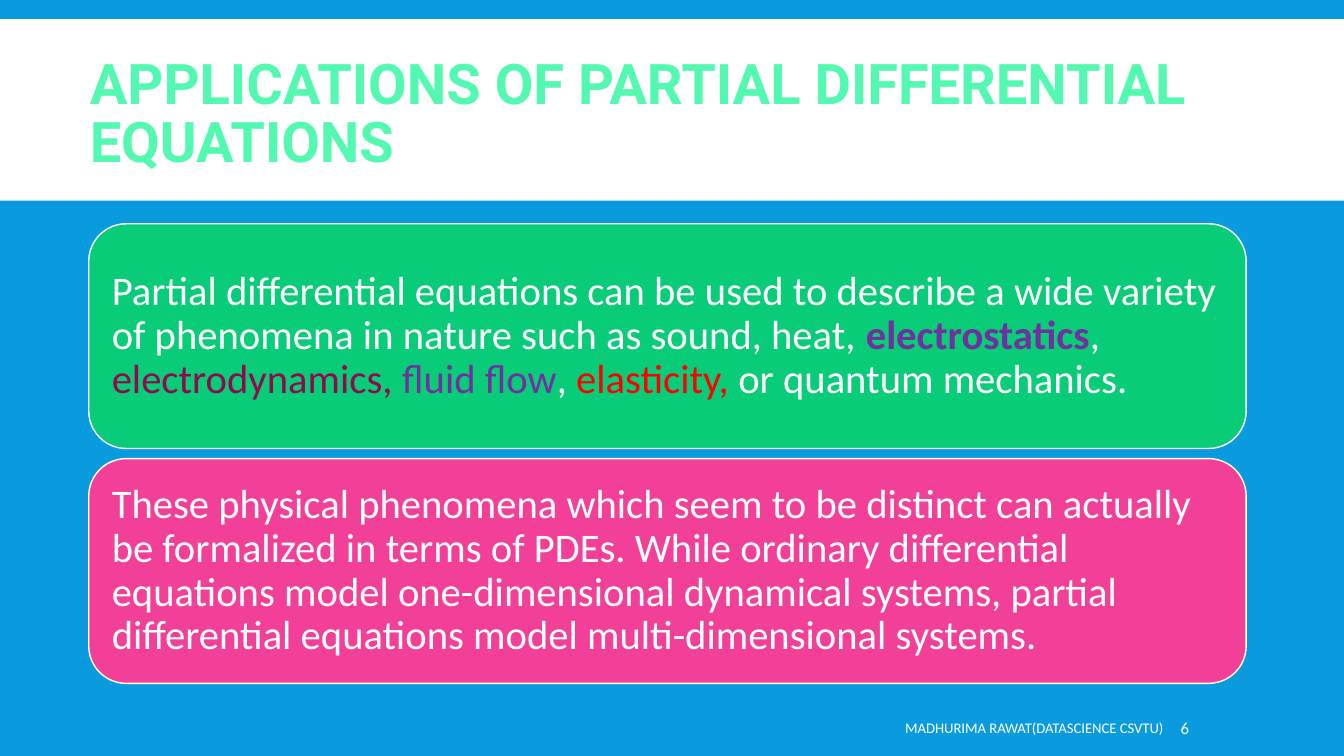
from pptx import Presentation
from pptx.dml.color import RGBColor
from pptx.enum.shapes import MSO_SHAPE
from pptx.enum.text import MSO_ANCHOR, MSO_AUTO_SIZE, PP_ALIGN
from pptx.util import Emu, Pt

RECT = MSO_SHAPE.RECTANGLE
ROUND = MSO_SHAPE.ROUNDED_RECTANGLE
MIDDLE = MSO_ANCHOR.MIDDLE
NO_FIT = MSO_AUTO_SIZE.NONE
LEFT, RIGHT = PP_ALIGN.LEFT, PP_ALIGN.RIGHT

BLUE = RGBColor(0x09, 0x9B, 0xDD)
WHITE = RGBColor(0xFF, 0xFF, 0xFF)
MINT = RGBColor(0x53, 0xF8, 0xB1)
GREEN = RGBColor(0x08, 0xCC, 0x78)
PINK = RGBColor(0xF2, 0x40, 0x99)
PURPLE = RGBColor(0x70, 0x30, 0xA0)
WINE = RGBColor(0x8F, 0x0A, 0x4D)
RED = RGBColor(0xFF, 0x00, 0x00)

PX = 9144  # 100 px to the inch
CARD_TOP, CARD_STEP = 222, 233

# Each card: fill and runs of (text, colour, bold)
CARDS = [
    (GREEN, [
        ("Partial differential equations can be used to describe a wide "
         "variety of phenomena in nature such as sound, heat,", WHITE, False),
        (" electrostatics", PURPLE, True),
        (", ", WHITE, False),
        ("electrodynamics, ", WINE, False),
        ("fluid flow", PURPLE, False),
        (", ", WHITE, False),
        ("elasticity,", RED, False),
        (" or quantum mechanics.", WHITE, False),
    ]),
    (PINK, [
        ("These physical phenomena which seem to be distinct can actually be "
         "formalized in terms of PDEs. While ordinary differential equations "
         "model one-dimensional dynamical systems, partial differential "
         "equations model multi-dimensional systems.", WHITE, False),
    ]),
]


def px(*nums):
    return [Emu(n * PX) for n in nums]


def put_text(shape, runs, size, font="Calibri", align=LEFT, line=1.0,
             pad=(10, 5, 10, 5)):
    frame = shape.text_frame
    frame.word_wrap = True
    frame.auto_size = NO_FIT
    frame.vertical_anchor = MIDDLE
    (frame.margin_left, frame.margin_top,
     frame.margin_right, frame.margin_bottom) = px(*pad)
    para = frame.paragraphs[0]
    para.alignment = align
    para.line_spacing = line
    for words, color, bold in runs:
        run = para.add_run()
        run.text = words
        run.font.name = font
        run.font.size = Pt(size)
        run.font.bold = bold
        run.font.color.rgb = color


def add_block(slide, kind, box, fill, edge=None):
    block = slide.shapes.add_shape(kind, *px(*box))
    block.shadow.inherit = False
    block.fill.solid()
    block.fill.fore_color.rgb = fill
    if edge is None:
        block.line.fill.background()
    else:
        block.line.color.rgb = edge
        block.line.width = Pt(1)
    return block


def add_label(slide, box, words, size, **style):
    label = slide.shapes.add_textbox(*px(*box))
    put_text(label, [(words, WHITE, False)], size, **style)


def main():
    deck = Presentation()
    deck.slide_width, deck.slide_height = px(1333, 750)
    slide = deck.slides.add_slide(deck.slide_layouts[5])
    slide.background.fill.solid()
    slide.background.fill.fore_color.rgb = BLUE

    # White band, placed behind the title
    band = add_block(slide, RECT, (0, 19, 1333, 180), WHITE)
    title = slide.shapes.title
    title.element.addprevious(band.element)

    # Title
    title.left, title.top, title.width, title.height = px(79, 33, 1148, 165)
    put_text(title,
             [("APPLICATIONS OF PARTIAL DIFFERENTIAL EQUATIONS", MINT, True)],
             40, font="Roboto", line=0.85)

    # Cards
    for i, (fill, runs) in enumerate(CARDS):
        box = (88, CARD_TOP + i * CARD_STEP, 1148, 223)
        card = add_block(slide, ROUND, box, fill, WHITE)
        put_text(card, runs, 29, line=0.9, pad=(12, 12, 12, 12))

    # Footer and slide number
    add_label(slide, (612, 702, 552, 40),
              "MADHURIMA RAWAT(DATASCIENCE CSVTU)", 10.5, align=RIGHT)
    add_label(slide, (1166, 702, 103, 40), "6", 12, pad=(5, 5, 10, 5))

    deck.save("out.pptx")


if __name__ == "__main__":
    main()
